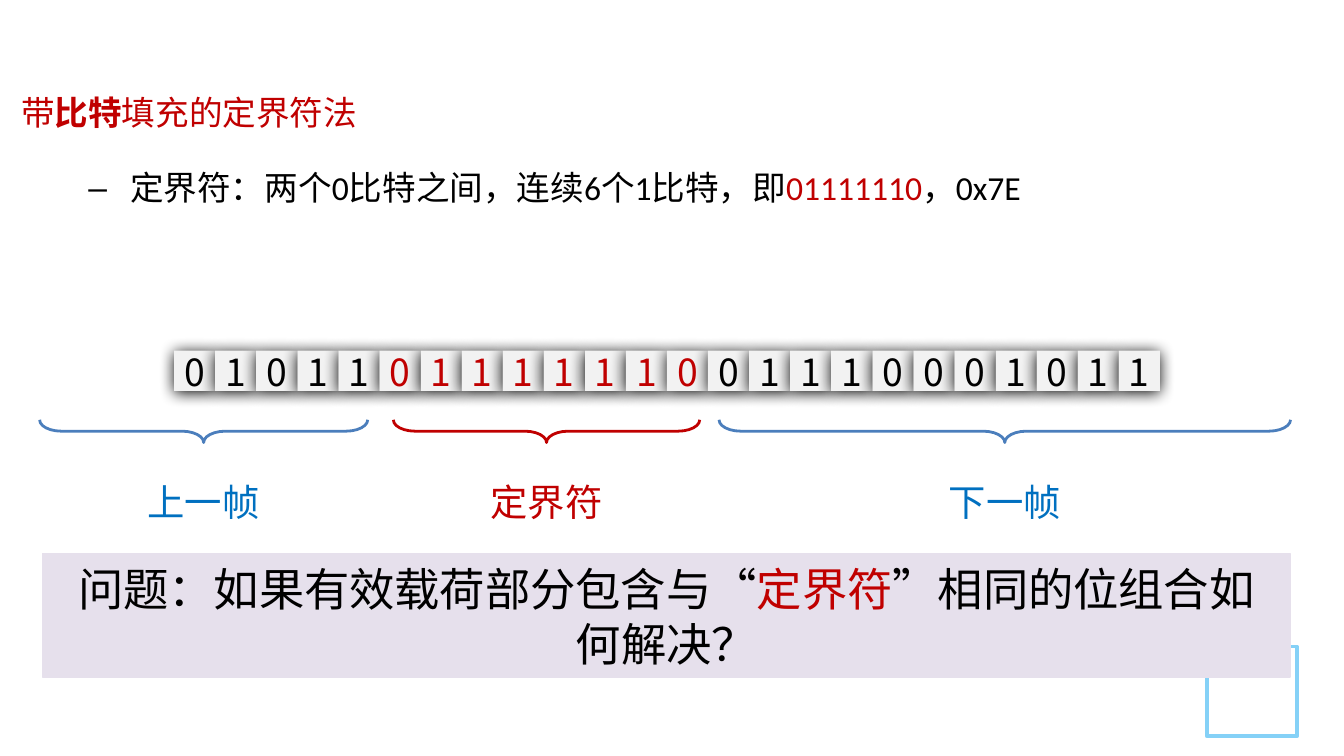
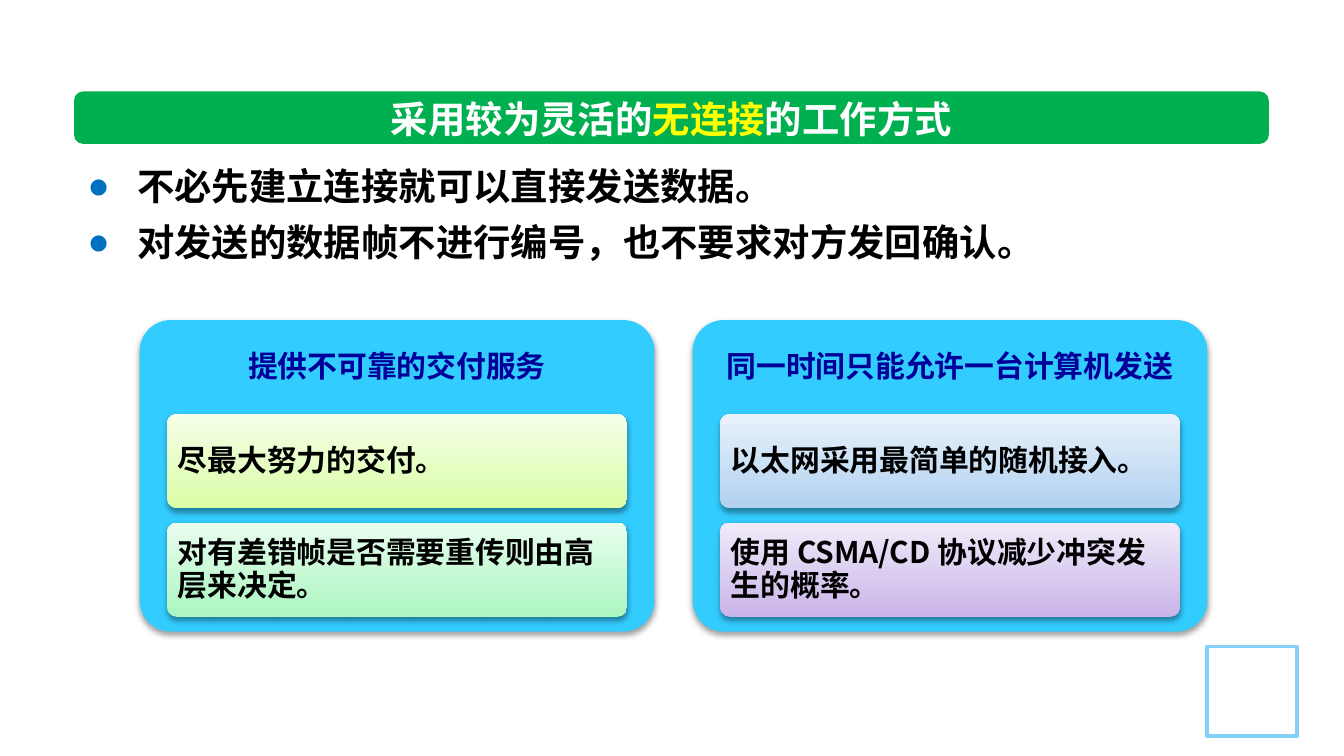
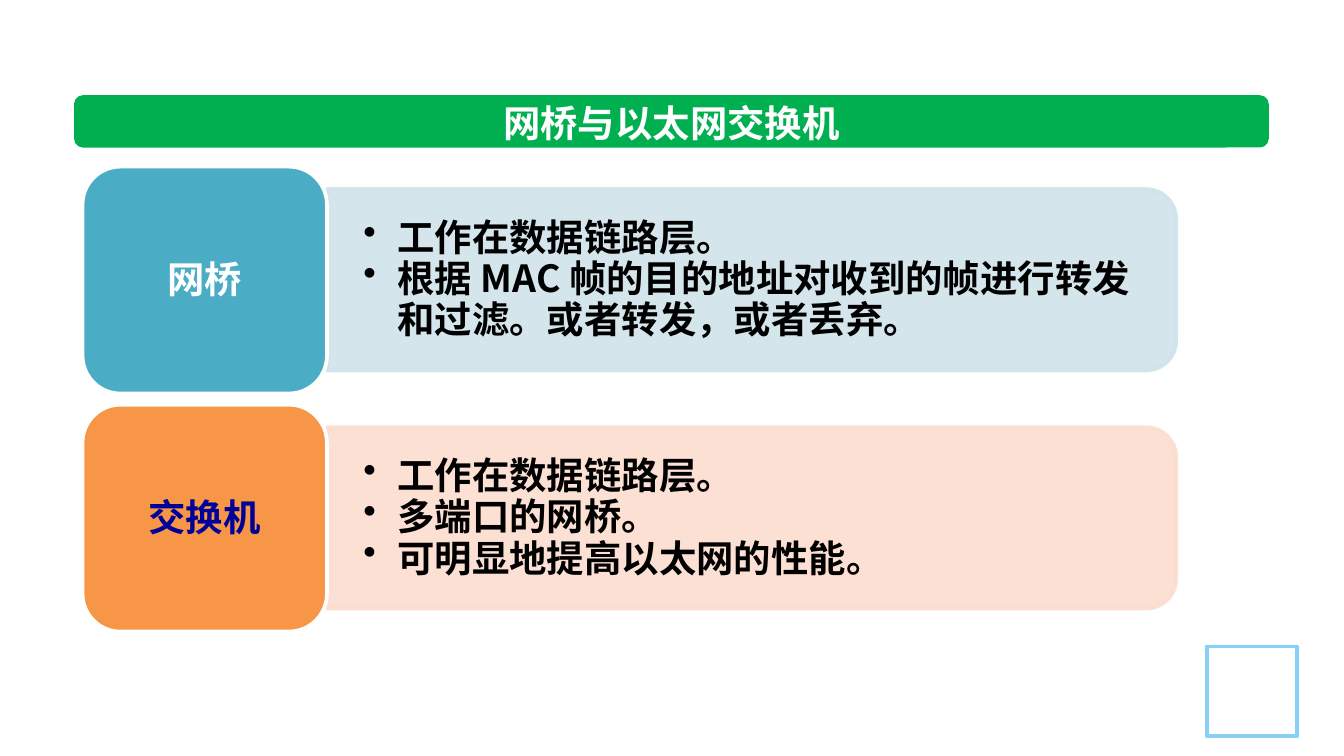
"""Build three slides on framing, Ethernet service and switching."""
from dataclasses import dataclass, replace

from lxml import etree
from pptx import Presentation
from pptx.dml import color as dml
from pptx.enum import shapes, text
from pptx.oxml import ns
from pptx.util import Cm, Pt

NOTO = "Noto Sans CJK SC"
BLACK, WHITE = "000000", "FFFFFF"
RED, BLUE, NAVY, YELLOW = "C00000", "0070C0", "000099", "FFFF00"
GREEN, SKY, LAVENDER, BRACE_BLUE = "00B050", "33CCFF", "E6E0EC", "4B7EBC"
LINE_HEIGHT = 1.22
BAR_LEFT, BAR_WIDTH, BAR_HEIGHT = 1.4, 22.58, 0.99
INSETS = (0.25, 0.13)

KIND = shapes.MSO_SHAPE
TOP, MIDDLE = text.MSO_ANCHOR.TOP, text.MSO_ANCHOR.MIDDLE
LEFT, CENTER = text.PP_ALIGN.LEFT, text.PP_ALIGN.CENTER


@dataclass(frozen=True)
class Style:
    """Look of a paragraph; accent applies to parts between bars."""
    size: float = 20
    color: str = BLACK
    bold: bool = False
    font: str = NOTO
    align: int = LEFT
    leading: float = 1
    accent: str = RED
    accent_bold: bool = False


@dataclass(frozen=True)
class Bullet:
    """Bullet sign with its indents in centimetres."""
    sign: str
    margin: float
    hanging: float
    color: str = BLACK


STRONG = Style(bold=True, accent_bold=True)
BAR_TITLE = replace(STRONG, color=WHITE, accent=YELLOW, align=CENTER)
LABEL = Style(align=CENTER)


def rgb(value):
    """Turn a hex string into a colour."""
    return dml.RGBColor.from_string(value)


def child(parent, tag, **attributes):
    """Append a drawing element to a parent."""
    return etree.SubElement(parent, ns.qn(tag), attributes)


def emu(value):
    """Give a length in centimetres as an XML value."""
    return str(int(Cm(value)))


def add_bullet(para, bullet):
    """Give a paragraph its bullet and hanging indent."""
    props = para._p.get_or_add_pPr()
    props.set("marL", emu(bullet.margin))
    props.set("indent", emu(-bullet.hanging))
    child(child(props, "a:buClr"), "a:srgbClr", val=bullet.color)
    child(props, "a:buChar", char=bullet.sign)


def write_para(para, line, style):
    """Write one line, with every second part accented."""
    para.alignment = style.align
    para.line_spacing = Pt(round(style.size * LINE_HEIGHT * style.leading, 1))
    para.space_before = Pt(0)
    for index, part in enumerate(line.split("|")):
        accented = index % 2 == 1
        span = para.add_run()
        span.text = part
        span.font.name = style.font
        span.font.size = Pt(style.size)
        span.font.bold = style.accent_bold if accented else style.bold
        span.font.color.rgb = rgb(style.accent if accented else style.color)
        child(span.font._element, "a:ea", typeface=style.font)


def write(box, lines, style, anchor=TOP, insets=INSETS, bullet=None, wrap=True):
    """Fill a shape with paragraphs."""
    frame = box.text_frame
    frame.auto_size = text.MSO_AUTO_SIZE.NONE
    frame.word_wrap = wrap
    frame.vertical_anchor = anchor
    frame.margin_left = frame.margin_right = Cm(insets[0])
    frame.margin_top = frame.margin_bottom = Cm(insets[1])
    for index, line in enumerate(lines):
        para = frame.add_paragraph() if index else frame.paragraphs[0]
        if bullet:
            add_bullet(para, bullet)
        write_para(para, line, style)


def place(box, left, top, width, height):
    """Move a placeholder to a position in centimetres."""
    box.left, box.top, box.width, box.height = map(Cm, (left, top, width, height))
    return box


def add_text(page, area, lines, style, **layout):
    """Add a text box."""
    write(page.shapes.add_textbox(*map(Cm, area)), lines, style, **layout)


def add_box(page, kind, area, fill=None, line=None, weight=2, corner=None):
    """Add a preset shape with a plain fill and outline."""
    box = page.shapes.add_shape(kind, *map(Cm, area))
    box.shadow.inherit = False
    if fill:
        box.fill.solid()
        box.fill.fore_color.rgb = rgb(fill)
    else:
        box.fill.background()
    if line:
        box.line.color.rgb = rgb(line)
        box.line.width = Pt(weight)
    else:
        box.line.fill.background()
    if corner is not None:
        box.adjustments[0] = corner
    return box


def add_shadow(box, blur, distance, opacity):
    """Drop a black shadow below a shape."""
    effects = box.element.spPr.find(ns.qn("a:effectLst"))
    shadow = child(effects, "a:outerShdw", blurRad=str(Pt(blur)),
                   dist=str(Pt(distance)), dir="5400000", rotWithShape="0")
    tint = child(shadow, "a:srgbClr", val=BLACK)
    child(tint, "a:alpha", val=str(opacity * 1000))


def shade(box, bottom, top):
    """Blend a shape's fill upwards between two colours."""
    box.fill.gradient()
    box.fill.gradient_angle = 90
    for stop, value in zip(box.fill.gradient_stops, (bottom, top)):
        stop.color.rgb = rgb(value)


def set_opacity(box, percent):
    """Make the fill and outline of a shape see-through."""
    for tint in box.element.spPr.iter(ns.qn("a:srgbClr")):
        child(tint, "a:alpha", val=str(percent * 1000))


def add_bar_title(page, top, width, title):
    """Put the title on a green bar."""
    bar = add_box(page, KIND.ROUNDED_RECTANGLE,
                  (BAR_LEFT, top, BAR_WIDTH, BAR_HEIGHT), GREEN, corner=0.17)
    page.shapes.element.insert(2, bar.element)
    left = BAR_LEFT + (BAR_WIDTH - width) / 2
    write(place(page.shapes.title, left, top - 0.06, width, 1.12), [title],
          BAR_TITLE, wrap=False)


def add_bits(page, bits, flag):
    """Draw a row of bits with the flag's bits in red."""
    left, width = 3.29, 18.63 / len(bits)
    start = bits.index(flag)
    for index, bit in enumerate(bits):
        cell = add_box(page, KIND.RECTANGLE,
                       (left + index * width, 6.63, width, 0.76), "F2F2F2")
        add_shadow(cell, 8.5, 1, 100)
        in_flag = start <= index < start + len(flag)
        write(cell, [bit], replace(LABEL, color=RED if in_flag else BLACK),
              MIDDLE, (0.05, 0.13), wrap=False)


def add_brace(page, center, length, line, label, color):
    """Draw a brace below the bits with a label under it."""
    thickness, middle, label_width = 0.43, 8.15, 3.51
    brace = add_box(page, KIND.LEFT_BRACE,
                    (center - thickness / 2, middle - length / 2, thickness, length),
                    line=line, weight=1.5, corner=0.95)
    brace.rotation = 270
    add_text(page, (center - label_width / 2, 8.92, label_width, 1.12), [label],
             replace(LABEL, color=color))


def add_panel(page, left, heading, items):
    """Draw a panel with a heading and shaded cards."""
    panel = add_box(page, KIND.ROUNDED_RECTANGLE, (left, 6.05, 9.73, 5.89),
                    SKY, corner=0.1)
    add_shadow(panel, 3.1, 1.6, 38)
    style = replace(STRONG, size=16, leading=0.9)
    add_text(page, (left, 6.05, 9.73, 1.78), [heading],
             replace(style, color=NAVY, align=CENTER), anchor=MIDDLE, insets=(0.18, 0.18))
    for row, (item, bottom, top) in enumerate(items):
        card = add_box(page, KIND.ROUNDED_RECTANGLE,
                       (left + 0.52, 7.83 + row * 2.05, 8.69, 1.78), corner=0.1)
        shade(card, bottom, top)
        add_shadow(card, 3.1, 1.6, 38)
        write(card, [item], style, MIDDLE, (0.15, 0.13))


def add_device(page, top, name, name_color, fill, tint, facts):
    """Draw a device tile with its facts in a tab on the right."""
    style = replace(STRONG, leading=0.9)
    left, width, length, depth = 6.18, 4.62, 16.05, 3.43
    middle = top + 2.14
    tab = add_box(page, KIND.ROUND_2_SAME_RECTANGLE,
                  (left + (length - depth) / 2, middle - length / 2, depth, length),
                  tint, tint)
    tab.rotation = 90
    set_opacity(tab, 90)
    add_text(page, (left, middle - 1.55, 15.9, 3.1), facts, style, anchor=MIDDLE,
             insets=(0.69, 0.36), bullet=Bullet("•", 0.64, 0.64))
    tile = add_box(page, KIND.ROUNDED_RECTANGLE, (left - width, top, width, 4.29),
                   fill, WHITE)
    write(tile, [name], replace(style, color=name_color, align=CENTER), MIDDLE)


def build_framing(page):
    """Show the flag between two frames."""
    style = Style(18, font="Calibri", leading=1.3)
    write(place(page.shapes.title, 0.15, 1.37, 24.13, 1.42), ["带|比特|填充的定界符法"],
          replace(style, color=RED, accent_bold=True))
    write(place(page.placeholders[1], 0.15, 2.79, 24.13, 2.01),
          ["定界符：两个0比特之间，连续6个1比特，即|01111110|，0x7E"], style,
          bullet=Bullet("–", 2.06, 0.79))
    add_bits(page, "010110111111001110001011", "01111110")
    add_brace(page, 10.33, 5.79, RED, "定界符", RED)
    add_brace(page, 3.85, 6.2, BRACE_BLUE, "上一帧", BLUE)
    add_brace(page, 18.99, 10.8, BRACE_BLUE, "下一帧", BLUE)
    question = add_box(page, KIND.RECTANGLE, (0.81, 10.46, 23.57, 2.34),
                       LAVENDER, LAVENDER, 0.75)
    write(question, ["问题：如果有效载荷部分包含与“|定界符|”相同的位组合如何解决？"],
          replace(LABEL, size=24.3))


def build_service(page):
    """Show the connectionless service."""
    add_bar_title(page, 1.73, 11.2, "采用较为灵活的|无连接|的工作方式")
    write(place(page.placeholders[1], BAR_LEFT, 2.74, BAR_WIDTH, 2.39),
          ["不必先建立连接就可以直接发送数据。",
           "对发送的数据帧不进行编号，也不要求对方发回确认。"],
          replace(STRONG, leading=1.23), bullet=Bullet("●", 0.94, 0.94, BLUE))
    add_panel(page, 2.64, "提供不可靠的交付服务", [
        ("尽最大努力的交付。", "DAFDA7", "F5FFE7"),
        ("对有差错帧是否需要重传则由高层来决定。", "ACF6C1", "E8FDEE")])
    add_panel(page, 13.09, "同一时间只能允许一台计算机发送", [
        ("以太网采用最简单的随机接入。", "B0D1EF", "E9F2FB"),
        ("使用 CSMA/CD 协议减少冲突发生的概率。", "C9B5E8", "F0EAF9")])


def build_devices(page):
    """Compare the bridge and the switch."""
    add_bar_title(page, 1.8, 6.93, "网桥与以太网交换机")
    add_device(page, 3.15, "网桥", WHITE, "4BACC6", "D0E3EA", [
        "工作在数据链路层。",
        "根据 MAC 帧的目的地址对收到的帧进行转发和过滤。或者转发，或者丢弃。"])
    add_device(page, 7.65, "交换机", NAVY, "F79646", "FCDDCF", [
        "工作在数据链路层。", "多端口的网桥。", "可明显地提高以太网的性能。"])


def main():
    """Build and save the deck."""
    deck = Presentation()
    deck.slide_width, deck.slide_height = Cm(25.4), Cm(14.29)
    title_and_body, title_only = deck.slide_layouts[1], deck.slide_layouts[5]
    framing = deck.slides.add_slide(title_and_body)
    corner = add_box(framing, KIND.RECTANGLE, (22.81, 12.22, 1.7, 1.7), WHITE, "85D1F7")
    deck.slide_master.shapes.element.append(corner.element)
    build_framing(framing)
    build_service(deck.slides.add_slide(title_and_body))
    build_devices(deck.slides.add_slide(title_only))
    deck.save("out.pptx")


if __name__ == "__main__":
    main()
